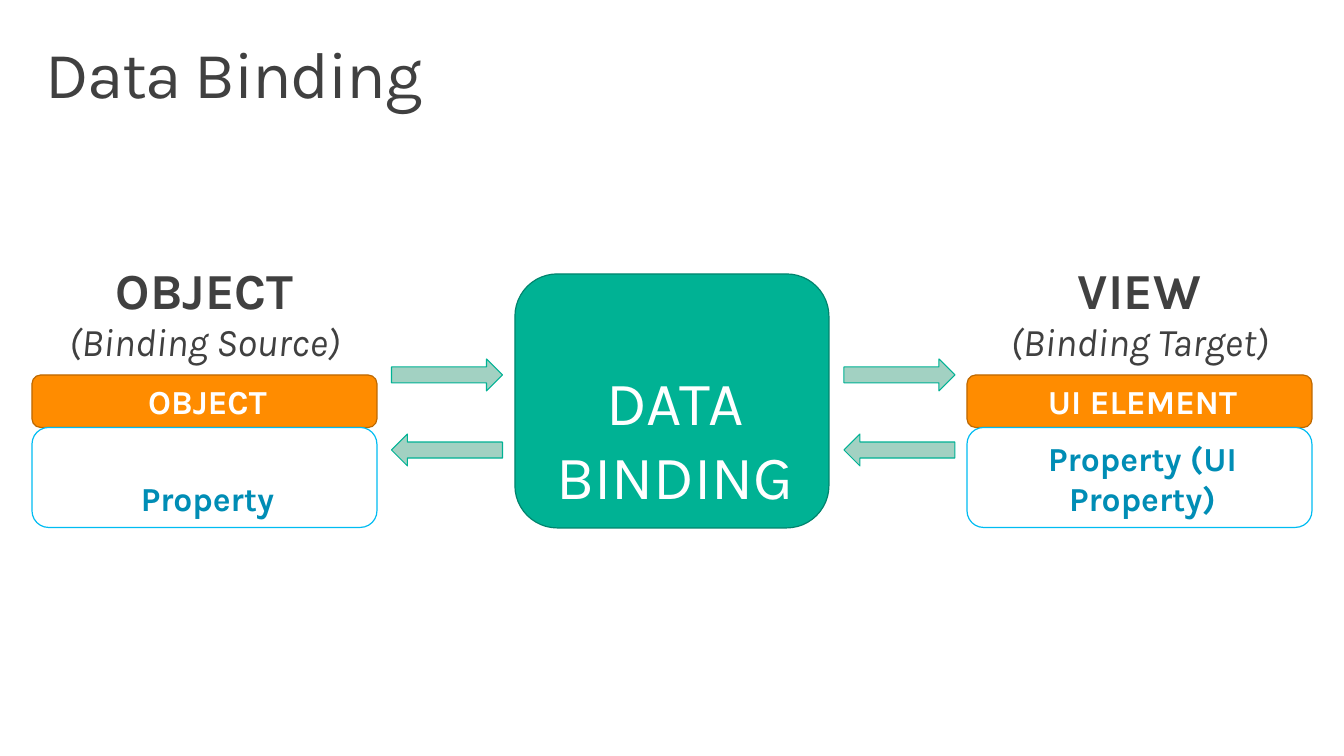
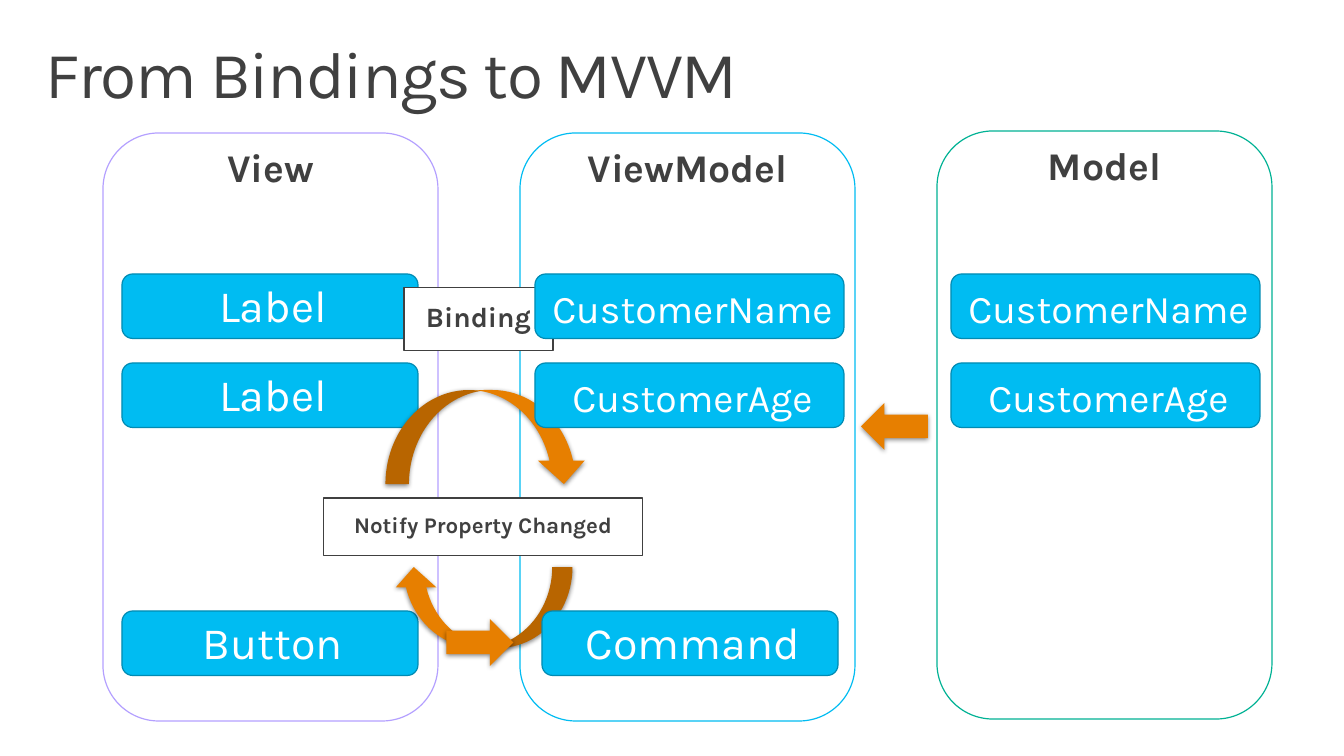
from pptx import Presentation
from pptx.dml.color import RGBColor
from pptx.enum.shapes import MSO_SHAPE as Shape
from pptx.enum.text import MSO_ANCHOR as Anchor, PP_ALIGN as Align
from pptx.oxml import parse_xml
from pptx.oxml.ns import nsdecls
from pptx.util import Emu, Pt

SCALE = 914400 / 100.8
FONT = "Karla"
WHITE = RGBColor(0xFF, 0xFF, 0xFF)
INK = RGBColor(0x40, 0x40, 0x40)
GREEN = RGBColor(0x00, 0xB2, 0x94)
DARK_GREEN = RGBColor(0x00, 0x84, 0x6D)
PALE_GREEN = RGBColor(0xA2, 0xD1, 0xC2)
ORANGE = RGBColor(0xFF, 0x8C, 0x00)
DARK_ORANGE = RGBColor(0xBD, 0x68, 0x00)
ARROW_ORANGE = RGBColor(0xE7, 0x7F, 0x00)
BLUE = RGBColor(0x00, 0xBC, 0xF2)
DARK_BLUE = RGBColor(0x00, 0x8B, 0xB3)
TEXT_BLUE = RGBColor(0x00, 0x8D, 0xB5)
PURPLE = RGBColor(0xB4, 0xA0, 0xFF)

PLAIN_INSETS = (10, 5, 10, 5)
TITLE_INSETS = (16, 10, 16, 10)
TILE_INSETS = (10, 10, 4, 4)
CAPTION_INSETS = (20, 16, 20, 16)

SHADOW = (
    f'<a:effectLst {nsdecls("a")}>'
    '<a:outerShdw blurRad="44450" dist="13970" dir="5400000" algn="ctr" rotWithShape="0">'
    '<a:srgbClr val="000000"><a:alpha val="45000"/></a:srgbClr>'
    '</a:outerShdw></a:effectLst>'
)


def px(value):
    return Emu(round(value * SCALE))


def write(shape, text, size, color=INK, bold=False, italic=False, align=Align.CENTER,
          anchor=Anchor.TOP, insets=PLAIN_INSETS, spacing=None, after=None, tracking=None):
    frame = shape.text_frame
    frame.word_wrap = True
    frame.vertical_anchor = anchor
    frame.margin_left, frame.margin_top, frame.margin_right, frame.margin_bottom = map(px, insets)
    para = frame.paragraphs[0]
    para.alignment = align
    if spacing is not None:
        para.line_spacing = spacing
    if after is not None:
        para.space_after = Pt(after)
    span = para.add_run()
    span.text = text
    font = span.font
    font.name, font.size, font.bold, font.italic = FONT, Pt(size), bold, italic
    font.color.rgb = color
    if tracking is not None:
        font._element.set("spc", str(tracking))


def add_text(page, area, text, size, **style):
    write(page.shapes.add_textbox(*map(px, area)), text, size, **style)


def add_box(page, kind, area, fill, line=None, weight=0.85):
    box = page.shapes.add_shape(kind, *map(px, area))
    box.shadow.inherit = False
    box.fill.solid()
    box.fill.fore_color.rgb = fill
    if line is None:
        box.line.fill.background()
    else:
        box.line.color.rgb = line
        box.line.width = Pt(weight)
    return box


def add_tile(page, area, text, size=32, fill=BLUE, line=DARK_BLUE, color=WHITE, bold=False):
    tile = add_box(page, Shape.ROUNDED_RECTANGLE, area, fill, line)
    write(tile, text, size, color=color, bold=bold, anchor=Anchor.BOTTOM, insets=TILE_INSETS)


def add_note(page, area, text, size):
    note = add_box(page, Shape.RECTANGLE, area, WHITE, INK)
    write(note, text, size, bold=True, insets=CAPTION_INSETS, spacing=0.9, after=6)


def add_shaded_arrow(page, kind, area, rotation=0, flip=None):
    arrow = add_box(page, kind, area, ARROW_ORANGE)
    arrow.rotation = rotation
    properties = arrow._element.spPr
    if flip:
        properties.xfrm.set(flip, "1")
    properties.replace(properties.find("{*}effectLst"), parse_xml(SHADOW))


def add_page(deck, title):
    page = deck.slides.add_slide(deck.slide_layouts[6])
    add_text(page, (29.5, 32, 1285, 99), title, 47, align=Align.LEFT,
             insets=TITLE_INSETS, spacing=0.9, tracking=-100)
    return page


def add_endpoint(page, left, heading, role, header, detail):
    add_text(page, (left + 62, 254, 221, 72), heading, 36, bold=True)
    add_text(page, (left - 32, 312.5, 409, 57), role, 28, italic=True)
    add_tile(page, (left, 375, 345, 52.5), header, 24, ORANGE, DARK_ORANGE, bold=True)
    add_tile(page, (left, 427.5, 345, 100), detail, 24, WHITE, BLUE, TEXT_BLUE, bold=True)


def add_arrow_pair(page, left):
    for top, rotation in ((359, 0), (434, 180)):
        arrow = add_box(page, Shape.RIGHT_ARROW, (left, top, 111, 32), PALE_GREEN, GREEN, 0.75)
        arrow.rotation = rotation


def add_column(page, left, top, name, line):
    add_box(page, Shape.ROUNDED_RECTANGLE, (left, top, 335, 588), WHITE, line)
    add_text(page, (left + 4, top, 327, 76), name, 28, bold=True,
             insets=CAPTION_INSETS, spacing=0.9, after=6)


def add_tiles(page, left, width, rows, size=32):
    for top, text in rows:
        add_tile(page, (left, top, width, 64.5), text, size)


def build_binding(deck):
    page = add_page(deck, "Data Binding")
    add_tile(page, (515, 274, 314, 254), "DATA BINDING", 44, GREEN, DARK_GREEN)
    add_endpoint(page, 32, "OBJECT", "(Binding Source)", "OBJECT", "Property")
    add_endpoint(page, 967, "VIEW", "(Binding Target)", "UI ELEMENT", "Property (UI Property)")
    for left in (391.5, 844):
        add_arrow_pair(page, left)


def build_mvvm(deck):
    page = add_page(deck, "From Bindings to MVVM")
    columns = (("View", 133, PURPLE), ("ViewModel", 133, BLUE), ("Model", 131, GREEN))
    for index, (name, top, line) in enumerate(columns):
        add_column(page, 103 + 417 * index, top, name, line)
    customer = ((274, "CustomerName"), (363, "CustomerAge"))
    add_tiles(page, 122, 296, ((274, "Label"), (363, "Label"), (611, "Button")))
    add_tiles(page, 951, 309, customer, size=28)
    add_note(page, (404, 287.5, 149, 63), "Binding", 20)
    add_note(page, (323.5, 498, 319, 57.5), "Notify Property Changed", 16)
    add_shaded_arrow(page, Shape.CURVED_RIGHT_ARROW, (442.5, 518, 81, 179), 90, "flipH")
    add_shaded_arrow(page, Shape.CURVED_RIGHT_ARROW, (439.5, 336, 94, 202), 90, "flipV")
    add_tiles(page, 535, 309, customer, size=28)
    add_tiles(page, 542, 296, ((611, "Command"),))
    add_shaded_arrow(page, Shape.RIGHT_ARROW, (861, 403, 67, 47), 180)
    add_shaded_arrow(page, Shape.RIGHT_ARROW, (446.5, 619, 67, 47))


def main():
    deck = Presentation()
    deck.slide_width, deck.slide_height = px(1344), px(756)
    build_binding(deck)
    build_mvvm(deck)
    deck.save("out.pptx")


main()
